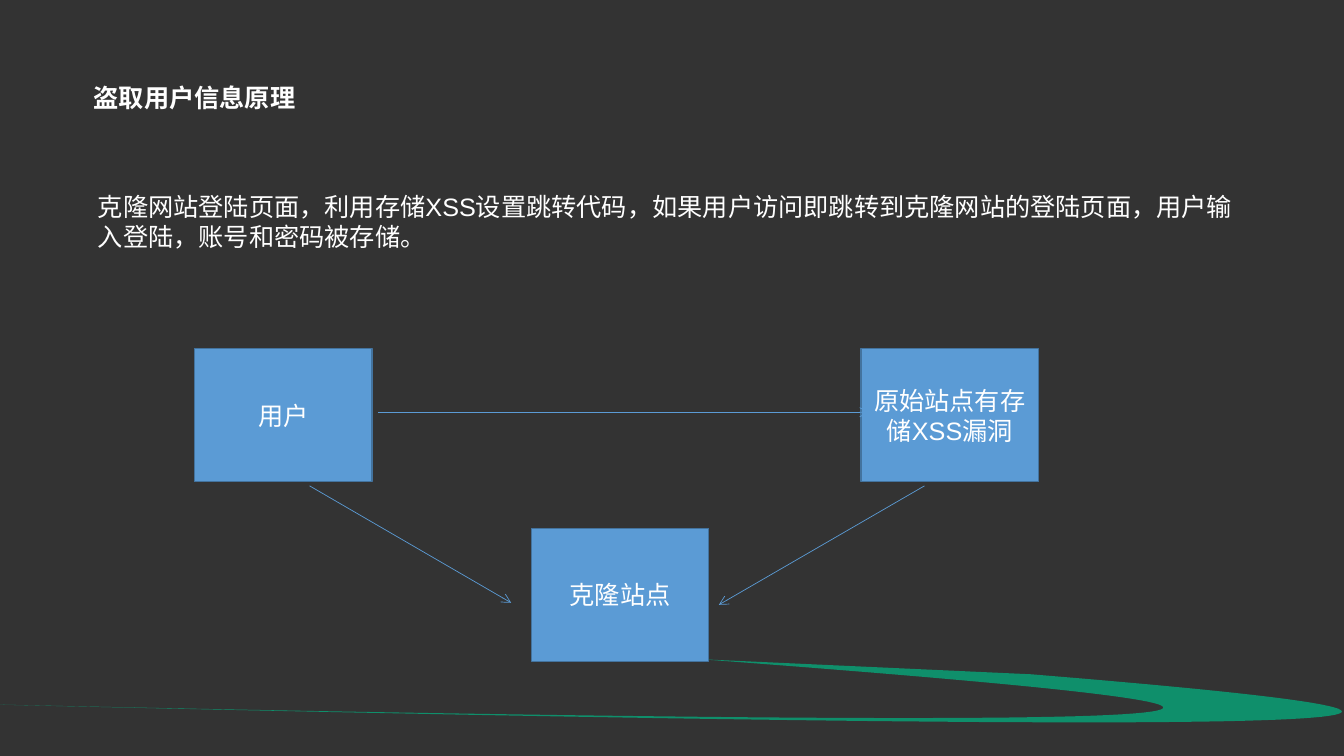
from lxml import etree
from pptx import Presentation
from pptx.dml.color import RGBColor
from pptx.enum.shapes import MSO_CONNECTOR, MSO_SHAPE
from pptx.enum.text import MSO_ANCHOR, MSO_AUTO_SIZE, PP_ALIGN
from pptx.oxml.ns import qn
from pptx.util import Inches, Pt

RECTANGLE = MSO_SHAPE.RECTANGLE
STRAIGHT = MSO_CONNECTOR.STRAIGHT
TOP, MIDDLE = MSO_ANCHOR.TOP, MSO_ANCHOR.MIDDLE
LEFT, CENTER = PP_ALIGN.LEFT, PP_ALIGN.CENTER
NO_AUTOFIT = MSO_AUTO_SIZE.NONE

TITLE = "盗取用户信息原理"
BODY = ("克隆网站登陆页面，利用存储XSS设置跳转代码，如果用户访问即跳转到克隆网站的登陆页面，"
        "用户输入登陆，账号和密码被存储。")
BOXES = [("用户", 1.93, 3.46), ("原始站点有存储XSS漏洞", 8.54, 3.46), ("克隆站点", 5.27, 5.24)]
BOX_SIZE = (1.76, 1.32)
ARROWS = [((3.75, 4.09), (8.62, 4.09)),
          ((3.07, 4.82), (5.07, 5.98)),
          ((9.17, 4.82), (7.13, 6.0))]
# Each curve: start, two control points, end
SWOOSH_CURVES = [
    ((10.23, 6.69), (16.74, 7.22), (12.75, 7.29), (-0.06, 6.99)),
    ((-0.06, 6.99), (16.55, 7.35), (11.86, 6.91), (6.95, 6.54)),
]
CURVE_STEPS = 60
COLORS = {"background": "333333", "swoosh": "0F8F6B", "text": "FFFFFF",
          "box": "5B9BD5", "box_line": "43739E"}
LATIN_FONT, CHINESE_FONT = "Arial", "Noto Sans CJK SC"


def color(name):
    return RGBColor.from_string(COLORS[name])


def write_text(shape, text, alignment, anchor, font_name=LATIN_FONT, bold=False):
    frame = shape.text_frame
    frame.word_wrap = True
    frame.auto_size = NO_AUTOFIT
    frame.vertical_anchor = anchor
    paragraph = frame.paragraphs[0]
    paragraph.alignment = alignment
    paragraph.space_before = Pt(0)
    run = paragraph.add_run()
    run.text = text
    font = run.font
    font.size, font.bold, font.name = Pt(18), bold, font_name
    font.color.rgb = color("text")
    etree.SubElement(run._r.get_or_add_rPr(), qn("a:ea"), typeface=CHINESE_FONT)
    return paragraph


def place(shape, left, top, width, height):
    shape.left, shape.top = Inches(left), Inches(top)
    shape.width, shape.height = Inches(width), Inches(height)


def curve_points(curve):
    """Sample a cubic Bezier curve, leaving out its start."""
    for step in range(1, CURVE_STEPS + 1):
        t = step / CURVE_STEPS
        weights = ((1 - t) ** 3, 3 * t * (1 - t) ** 2, 3 * t ** 2 * (1 - t), t ** 3)
        yield tuple(Inches(sum(w * point[axis] for w, point in zip(weights, curve)))
                    for axis in (0, 1))


def add_swoosh(slide):
    start_x, start_y = SWOOSH_CURVES[0][0]
    builder = slide.shapes.build_freeform(Inches(start_x), Inches(start_y))
    for curve in SWOOSH_CURVES:
        builder.add_line_segments(list(curve_points(curve)), close=False)
    builder.add_line_segments([], close=True)
    swoosh = builder.convert_to_shape()
    swoosh.shadow.inherit = False
    swoosh.fill.solid()
    swoosh.fill.fore_color.rgb = color("swoosh")
    swoosh.line.fill.background()


def add_box(slide, label, left, top):
    box = slide.shapes.add_shape(RECTANGLE, Inches(left), Inches(top),
                                 *(Inches(side) for side in BOX_SIZE))
    box.shadow.inherit = False
    box.fill.solid()
    box.fill.fore_color.rgb = color("box")
    box.line.color.rgb = color("box_line")
    box.line.width = Pt(1)
    write_text(box, label, CENTER, MIDDLE)


def add_arrow(slide, start, end):
    arrow = slide.shapes.add_connector(STRAIGHT, *(Inches(value) for value in start + end))
    arrow.line.color.rgb = color("box")
    arrow.line.width = Pt(0.5)
    etree.SubElement(arrow.line._get_or_add_ln(), qn("a:tailEnd"), type="arrow")
    etree.SubElement(arrow._element.spPr, qn("a:effectLst"))


def main():
    presentation = Presentation()
    presentation.slide_width, presentation.slide_height = Inches(13.33), Inches(7.5)
    slide = presentation.slides.add_slide(presentation.slide_layouts[1])
    slide.background.fill.solid()
    slide.background.fill.fore_color.rgb = color("background")

    title, body = slide.placeholders
    place(title, 0.83, 0.77, 11.59, 0.4)
    write_text(title, TITLE, LEFT, TOP, CHINESE_FONT, bold=True)
    place(body, 0.87, 1.85, 11.59, 0.71)
    properties = write_text(body, BODY, LEFT, TOP)._p.get_or_add_pPr()
    properties.set("marL", "0")
    properties.set("indent", "0")
    etree.SubElement(properties, qn("a:buNone"))

    add_swoosh(slide)
    for box in BOXES:
        add_box(slide, *box)
    for arrow in ARROWS:
        add_arrow(slide, *arrow)
    presentation.save("out.pptx")


if __name__ == "__main__":
    main()
